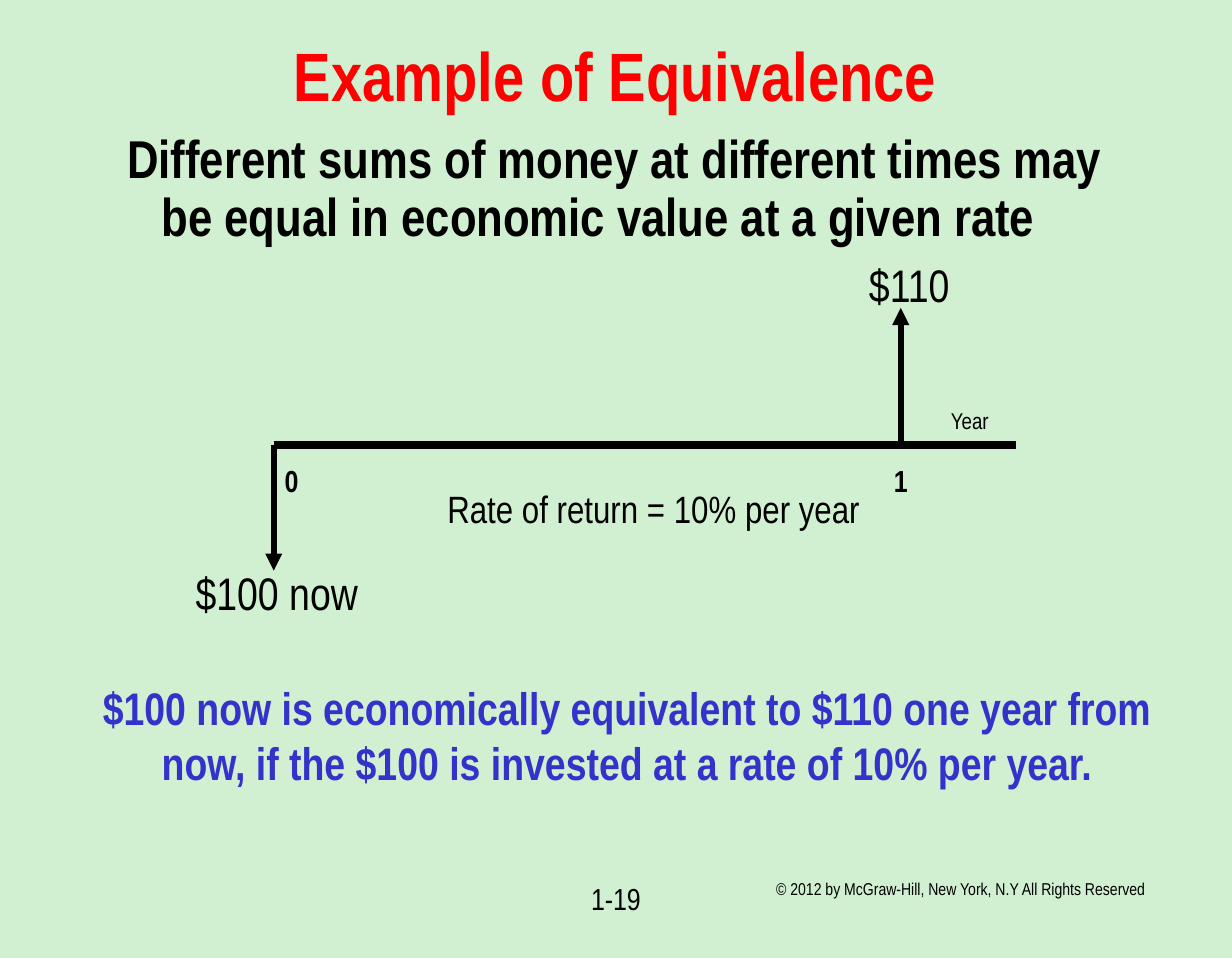
from lxml.etree import SubElement
from pptx import Presentation
from pptx.dml.color import RGBColor
from pptx.enum.shapes import MSO_CONNECTOR
from pptx.enum.text import MSO_ANCHOR as Anchor, MSO_AUTO_SIZE as AutoSize, PP_ALIGN as Align
from pptx.oxml.ns import qn
from pptx.util import Inches, Pt

FONT = "Arial Narrow"
BACKGROUND = RGBColor(0xD1, 0xF0, 0xD1)
BLACK = RGBColor(0, 0, 0)
RED = RGBColor(0xFF, 0, 0)
BLUE = RGBColor(0x33, 0x33, 0xCC)

AXIS_TOP = 3.25
YEAR_0, YEAR_1, AXIS_END = 2, 6.58, 7.42


def write(box, text, size, color=BLACK, bold=False, align=Align.LEFT,
          anchor=Anchor.TOP, spacing=1.0, inset=0.1):
    frame = box.text_frame
    frame.word_wrap = True
    frame.auto_size = AutoSize.NONE
    frame.vertical_anchor = anchor
    frame.margin_left = frame.margin_right = Inches(inset)
    frame.margin_top = frame.margin_bottom = Inches(0.05)
    para = frame.paragraphs[0]
    para.alignment = align
    para.line_spacing = spacing
    para.space_before = Pt(0)
    span = para.add_run()
    span.text = text
    span.font.name = FONT
    span.font.size = Pt(size)
    span.font.bold = bold
    span.font.color.rgb = color
    return para


def place(box, left, top, width, height):
    box.left, box.top = Inches(left), Inches(top)
    box.width, box.height = Inches(width), Inches(height)


def add_label(page, area, text, size, **style):
    box = page.shapes.add_textbox(*map(Inches, area))
    write(box, text, size, **style)


def add_line(page, start, end, width, arrow=False):
    line = page.shapes.add_connector(
        MSO_CONNECTOR.STRAIGHT, *map(Inches, (*start, *end)))
    line.line.color.rgb = BLACK
    line.line.width = Pt(width)
    if arrow:
        SubElement(line.line._get_or_add_ln(), qn("a:tailEnd"), type="triangle")
    SubElement(line._element.spPr, qn("a:effectLst"))


def add_heading(page):
    title, body = page.shapes.title, page.placeholders[1]
    place(title, 0.67, 0.17, 7.65, 0.75)
    write(title, "Example of Equivalence", 36, color=RED, bold=True,
          align=Align.CENTER, anchor=Anchor.MIDDLE, inset=0.09)
    place(body, 0.75, 0.92, 7.65, 1)
    para = write(body, "Different sums of money at different times may "
                 "be equal in economic value at a given rate",
                 28, bold=True, spacing=0.9, inset=0.09)
    properties = para._p.get_or_add_pPr()
    properties.set("marL", str(Inches(0.34)))
    properties.set("indent", str(Inches(-0.25)))
    SubElement(properties, qn("a:buNone"))


def add_cash_flow(page):
    add_line(page, (YEAR_0, AXIS_TOP), (AXIS_END, AXIS_TOP), 4.5)
    for year, tip in ((YEAR_0, 4.17), (YEAR_1, 2.25)):
        add_line(page, (year, AXIS_TOP), (year, tip), 3, arrow=True)
    for text, center in (("0", 2.13), ("1", YEAR_1)):
        add_label(page, (center - 0.2, 3.33, 0.4, 0.37), text, 16,
                  bold=True, align=Align.CENTER)
    add_label(page, (1.33, 4.08, 1.75, 0.5), "$100 now", 24)
    add_label(page, (6.25, 1.83, 0.83, 0.5), "$110", 24)
    add_label(page, (3.17, 3.5, 3.33, 0.44), "Rate of return = 10% per year", 20)
    add_label(page, (6.75, 2.92, 0.67, 0.3), "Year", 12, align=Align.CENTER)


def add_footer(page):
    add_label(page, (5.58, 6.37, 3.17, 0.46),
              "© 2012 by McGraw-Hill, New York, N.Y All Rights Reserved", 9, inset=0.09)
    add_label(page, (3.9, 6.38, 1.2, 0.47), "1-19", 16,
              align=Align.CENTER, inset=0.09)


def main():
    deck = Presentation()
    deck.slide_width, deck.slide_height = Inches(9), Inches(7)
    page = deck.slides.add_slide(deck.slide_layouts[1])
    page.background.fill.solid()
    page.background.fill.fore_color.rgb = BACKGROUND
    add_heading(page)
    add_cash_flow(page)
    add_label(page, (0.33, 4.92, 8.5, 0.9),
              "$100 now is economically equivalent to $110 one year from now, "
              "if the $100 is invested at a rate of 10% per year.",
              24, color=BLUE, bold=True, align=Align.CENTER)
    add_footer(page)
    deck.save("out.pptx")


if __name__ == "__main__":
    main()
